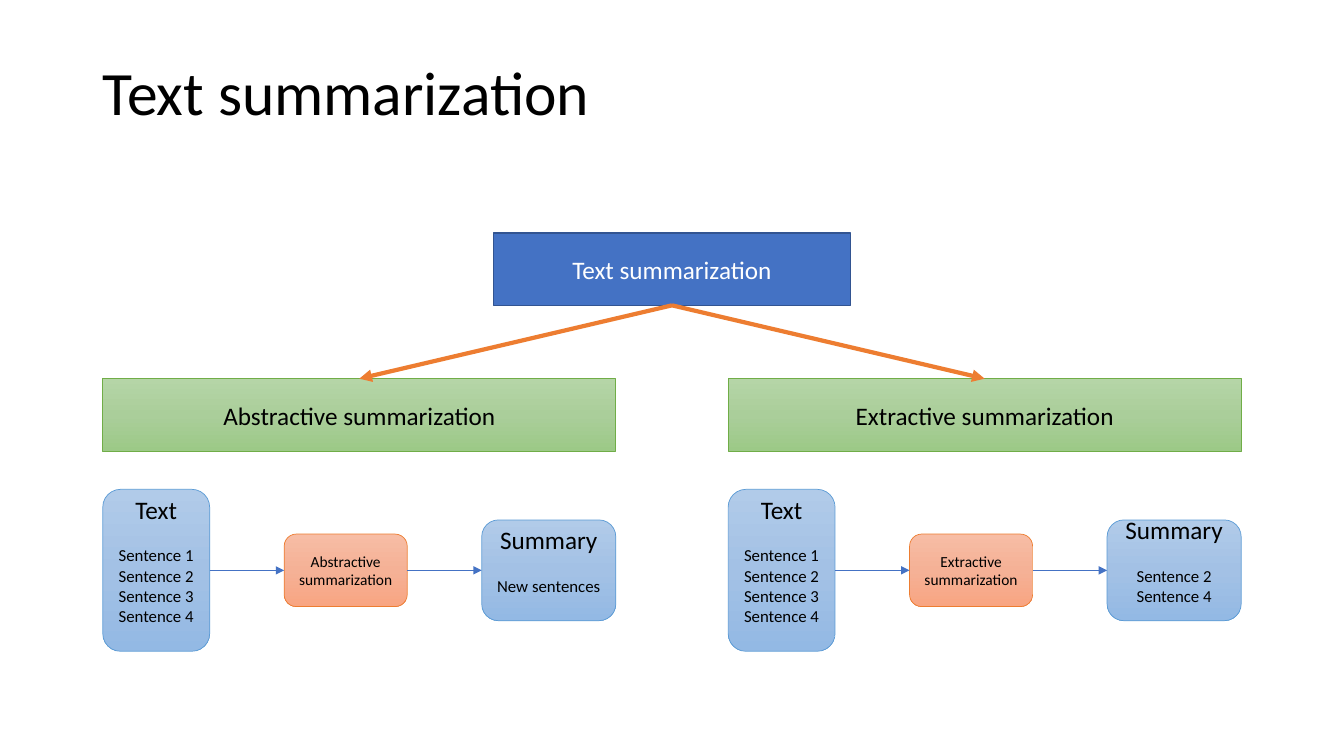
from copy import deepcopy

from lxml import etree
from pptx import Presentation
from pptx.dml.color import RGBColor
from pptx.enum.shapes import MSO_CONNECTOR, MSO_SHAPE
from pptx.enum.text import MSO_ANCHOR, PP_ALIGN
from pptx.oxml.ns import qn
from pptx.util import Pt

RECTANGLE, ROUNDED = MSO_SHAPE.RECTANGLE, MSO_SHAPE.ROUNDED_RECTANGLE
STRAIGHT = MSO_CONNECTOR.STRAIGHT
LEFT, CENTER = PP_ALIGN.LEFT, PP_ALIGN.CENTER
MIDDLE = MSO_ANCHOR.MIDDLE
SIDE_TOP, SIDE_LEFT, SIDE_BOTTOM, SIDE_RIGHT = range(4)

# Content
TITLE = "Text summarization"
ROOT = "Text summarization"
SENTENCES = ["Sentence 1", "Sentence 2", "Sentence 3", "Sentence 4"]
BRANCHES = [
    ("Abstractive summarization", ["New sentences"]),
    ("Extractive summarization", ["Sentence 2", "Sentence 4"]),
]

# Style
FONT = "Calibri"
BLACK = RGBColor(0x00, 0x00, 0x00)
WHITE = RGBColor(0xFF, 0xFF, 0xFF)
BLUE = RGBColor(0x44, 0x72, 0xC4)
DARK_BLUE = RGBColor(0x32, 0x54, 0x91)
GREEN = RGBColor(0x70, 0xAD, 0x47)
ORANGE = RGBColor(0xED, 0x7D, 0x31)
SKY = RGBColor(0x5B, 0x9B, 0xD5)
GREEN_FADE = [RGBColor(0xB5, 0xD5, 0xA7), RGBColor(0xAA, 0xCE, 0x9A), RGBColor(0x9C, 0xC9, 0x87)]
SKY_FADE = [RGBColor(0xB1, 0xCB, 0xE9), RGBColor(0xA3, 0xC1, 0xE5), RGBColor(0x93, 0xB9, 0xE4)]
ORANGE_FADE = [RGBColor(0xF7, 0xBD, 0xA5), RGBColor(0xF5, 0xB1, 0x96), RGBColor(0xF8, 0xA5, 0x82)]

# Layout, in points
SLIDE_WIDTH, SLIDE_HEIGHT = 960, 540
BAR_HEIGHT = 51.8
ROOT_TOP, ROOT_WIDTH = 166.3, 255
BRANCH_TOP, BRANCH_WIDTH, MARGIN = 270.5, 366.5, 73.4
FLOW_MIDDLE = 407.4
FLOW_SIZES = [(76.4, 115.7), (87.9, BAR_HEIGHT), (95.8, 72)]
FLOW_GAP = (BRANCH_WIDTH - sum(width for width, _ in FLOW_SIZES)) / 2
BLANK_LINE = 14.6

presentation = Presentation()
presentation.slide_width, presentation.slide_height = Pt(SLIDE_WIDTH), Pt(SLIDE_HEIGHT)
slide = presentation.slides.add_slide(presentation.slide_layouts[5])


def add_text(paragraph, text, size, color=BLACK, align=CENTER):
    paragraph.alignment = align
    run = paragraph.add_run()
    run.text = text
    run.font.name, run.font.size = FONT, Pt(size)
    run.font.color.rgb = color


def add_box(kind, left, top, width, height, colors, line_color, line_width=0.5):
    shape = slide.shapes.add_shape(kind, Pt(left), Pt(top), Pt(width), Pt(height))
    shape.shadow.inherit = False
    shape.line.color.rgb, shape.line.width = line_color, Pt(line_width)
    shape.text_frame.word_wrap = True
    shape.text_frame.vertical_anchor = MIDDLE
    if len(colors) == 1:
        shape.fill.solid()
        shape.fill.fore_color.rgb = colors[0]
        return shape
    # Three-stop gradient running downwards
    shape.fill.gradient()
    shape.fill.gradient_angle = 270
    first = shape.element.spPr.find(".//" + qn("a:gs"))
    first.addnext(deepcopy(first))
    for stop, color, position in zip(shape.fill.gradient_stops, colors, (0, 0.5, 1)):
        stop.color.rgb, stop.position = color, position
    return shape


def add_arrow(source, source_side, target, target_side, color, width):
    arrow = slide.shapes.add_connector(STRAIGHT, 0, 0, 0, 0)
    arrow.begin_connect(source, source_side)
    arrow.end_connect(target, target_side)
    arrow.line.color.rgb, arrow.line.width = color, Pt(width)
    etree.SubElement(arrow.line._get_or_add_ln(), qn("a:tailEnd"), type="triangle")
    etree.SubElement(arrow.element.spPr, qn("a:effectLst"))


def add_heading_and_lines(shape, heading, lines):
    frame = shape.text_frame
    frame.margin_bottom = Pt(3.6 + BLANK_LINE)
    add_text(frame.paragraphs[0], heading, 18)
    for index, line in enumerate(lines):
        paragraph = frame.add_paragraph()
        add_text(paragraph, line, 12)
        if index == 0:
            paragraph.space_before = Pt(BLANK_LINE)


# Title
title = slide.shapes.title
title.left, title.top, title.width, title.height = Pt(66), Pt(15.8), Pt(828), Pt(104.4)
title.text_frame.vertical_anchor = MIDDLE
title.text_frame.paragraphs[0].line_spacing = 0.9
add_text(title.text_frame.paragraphs[0], TITLE, 44, align=LEFT)

# Root of the tree
root = add_box(RECTANGLE, (SLIDE_WIDTH - ROOT_WIDTH) / 2, ROOT_TOP, ROOT_WIDTH, BAR_HEIGHT,
               [BLUE], DARK_BLUE, 1)
add_text(root.text_frame.paragraphs[0], ROOT, 18, WHITE)

branch_lefts = [MARGIN, SLIDE_WIDTH - MARGIN - BRANCH_WIDTH]
for branch_left, (method, summary_lines) in zip(branch_lefts, BRANCHES):
    # Branch bar
    bar = add_box(RECTANGLE, branch_left, BRANCH_TOP, BRANCH_WIDTH, BAR_HEIGHT, GREEN_FADE, GREEN)
    add_text(bar.text_frame.paragraphs[0], method, 18)
    add_arrow(root, SIDE_BOTTOM, bar, SIDE_TOP, ORANGE, 3)

    # Flow from text through method to summary
    flow = []
    left = branch_left
    styles = [(SKY_FADE, SKY), (ORANGE_FADE, ORANGE), (SKY_FADE, SKY)]
    for (width, height), (fade, line_color) in zip(FLOW_SIZES, styles):
        flow.append(add_box(ROUNDED, left, FLOW_MIDDLE - height / 2, width, height, fade, line_color))
        left += width + FLOW_GAP
    text_box, method_box, summary_box = flow
    add_heading_and_lines(text_box, "Text", SENTENCES)
    add_text(method_box.text_frame.paragraphs[0], method, 11)
    add_heading_and_lines(summary_box, "Summary", summary_lines)
    for source, target in zip(flow, flow[1:]):
        add_arrow(source, SIDE_RIGHT, target, SIDE_LEFT, BLUE, 0.5)

presentation.save("out.pptx")
